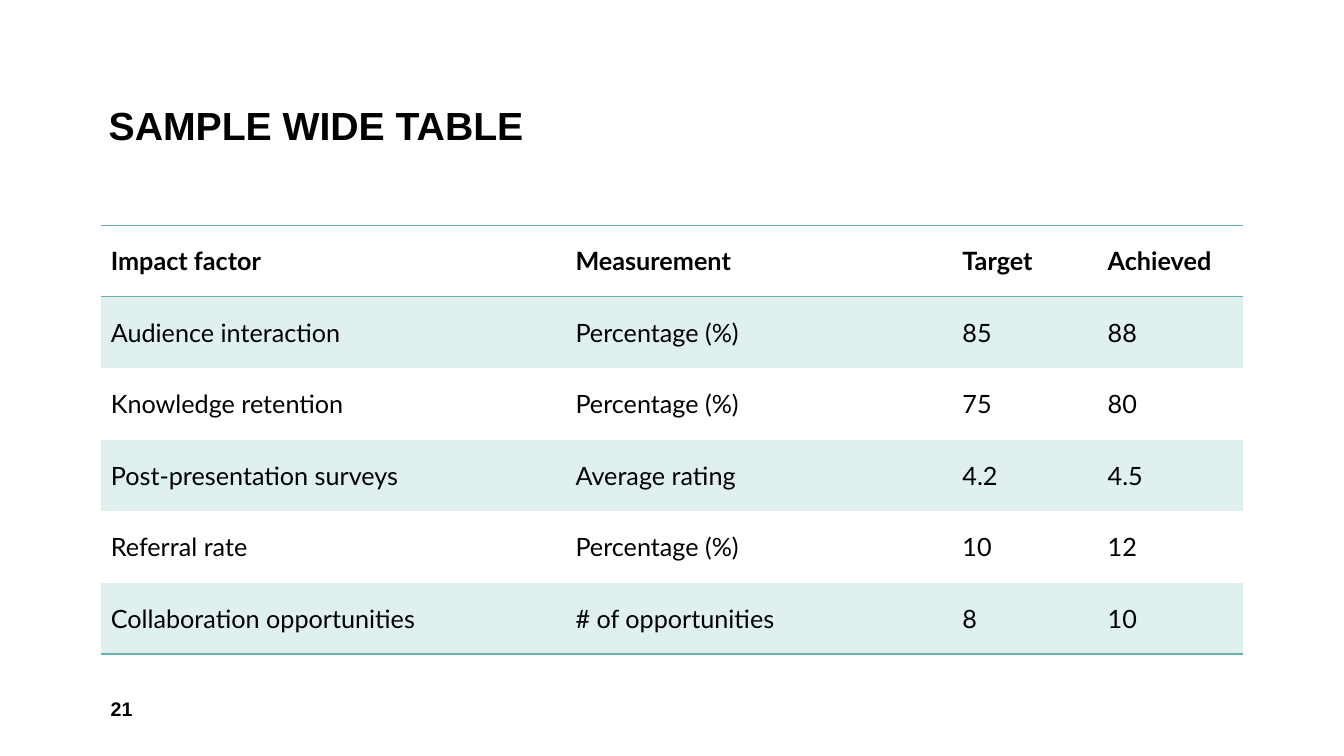
from dataclasses import dataclass

from lxml.etree import SubElement
from pptx import Presentation
from pptx.dml.color import RGBColor as RGB
from pptx.enum.text import MSO_ANCHOR as Anchor
from pptx.oxml.ns import qn
from pptx.util import Cm, Pt

HEADS = ("Impact factor", "Measurement", "Target", "Achieved")
ROWS = [
    ("Audience interaction", "Percentage (%)", "85", "88"),
    ("Knowledge retention", "Percentage (%)", "75", "80"),
    ("Post-presentation surveys", "Average rating", "4.2", "4.5"),
    ("Referral rate", "Percentage (%)", "10", "12"),
    ("Collaboration opportunities", "# of opportunities", "8", "10"),
]
WIDTHS = (11.71, 9.75, 3.66, 3.66)
LEFT, TOP, ROW_H = 2.54, 5.68, 1.8


@dataclass(frozen=True)
class Theme:
    ink: RGB = RGB(0, 0, 0)
    band: RGB = RGB(0xE0, 0xF0, 0xEF)
    rule: str = "66B2B0"
    head: str = "Arial"
    body: str = "Lato"
    title: float = 28
    cell: float = 18
    page: float = 14


T = Theme()


def style(para, face, size, bold=True):
    font = para.font
    font.name, font.size, font.bold = face, Pt(size), bold
    font.color.rgb = T.ink


def label(slide, text, box, size, anchor):
    frame = slide.shapes.add_textbox(*map(Cm, box)).text_frame
    frame.word_wrap = True
    frame.vertical_anchor = anchor
    para = frame.paragraphs[0]
    para.text = text
    style(para, T.head, size)
    return para


def edge(cell, ruled):
    """Rule the named sides of a cell and clear the others."""
    props = cell._tc.get_or_add_tcPr()
    for side in "LRTB":
        line = SubElement(props, qn(f"a:ln{side}"), w=str(Pt(1)))
        if side in ruled:
            fill = SubElement(line, qn("a:solidFill"))
            SubElement(fill, qn("a:srgbClr"), val=T.rule)
        else:
            SubElement(line, qn("a:noFill"))


def grid(slide):
    data = [HEADS, *ROWS]
    last = len(data) - 1
    table = slide.shapes.add_table(
        len(data), len(HEADS), Cm(LEFT), Cm(TOP),
        Cm(sum(WIDTHS)), Cm(ROW_H * len(data))).table
    table.first_row = table.horz_banding = False
    for col, width in zip(table.columns, WIDTHS):
        col.width = Cm(width)
    for r, row in enumerate(data):
        table.rows[r].height = Cm(ROW_H)
        sides = {0: "TB", 1: "T", last: "B"}.get(r, "")
        for c, text in enumerate(row):
            cell = table.cell(r, c)
            cell.text = text
            cell.vertical_anchor = Anchor.MIDDLE
            style(cell.text_frame.paragraphs[0], T.body, T.cell, r == 0)
            edge(cell, sides)
            if r % 2:
                cell.fill.solid()
                cell.fill.fore_color.rgb = T.band
            else:
                cell.fill.background()


def main():
    deck = Presentation()
    deck.slide_width, deck.slide_height = Cm(33.87), Cm(19.05)
    slide = deck.slides.add_slide(deck.slide_layouts[6])

    title = label(slide, "SAMPLE WIDE TABLE", (2.49, 0.2, 28.9, 3.68),
                  T.title, Anchor.BOTTOM)
    title.line_spacing = 0.9
    grid(slide)
    label(slide, "21", (LEFT, 17.35, 7.42, 1.02), T.page, Anchor.MIDDLE)

    deck.save("out.pptx")


if __name__ == "__main__":
    main()
